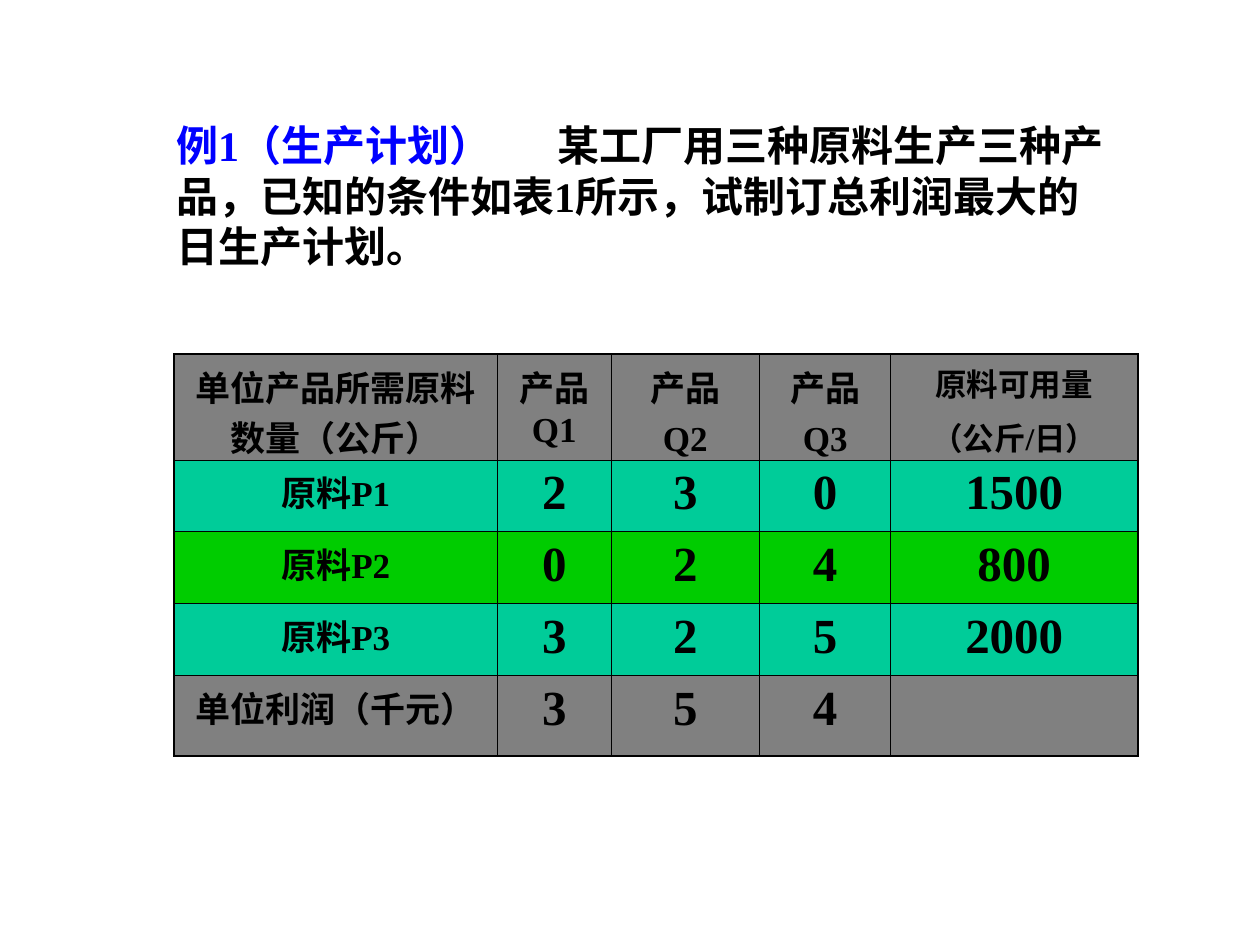
import pptx
import pptx.util
import pptx.dml.color
import pptx.enum.text
import pptx.oxml.ns
import lxml.etree

Inches, Pt = pptx.util.Inches, pptx.util.Pt
FONT = "Times New Roman"
COLORS = {"black": "000000", "blue": "0000FF", "white": "FFFFFF",
          "gray": "808080", "teal": "00CC99", "green": "00CC00"}

TITLE = [
    ("例1（生产计划）", "blue"),
    ("\t某工厂用三种原料生产三种产品，已知的条件如表1所示，试制订总利润最大的日生产计划。", "black"),
]
TITLE_TAB = 3.03
ROWS = [
    ["单位产品所需原料数量（公斤）", "产品Q1", "产品\nQ2", "产品\nQ3", "原料可用量\n（公斤/日）"],
    ["原料P1", "2", "3", "0", "1500"],
    ["原料P2", "0", "2", "4", "800"],
    ["原料P3", "3", "2", "5", "2000"],
    ["单位利润（千元）", "3", "5", "4", ""],
]
ROW_FILLS = ["gray", "teal", "green", "teal", "gray"]
COL_WIDTHS = [2.57, 0.9, 1.18, 1.04, 1.96]
ROW_HEIGHTS = [0.84, 0.57, 0.57, 0.57, 0.64]
THIN, THICK = 0.45, 1.08


def rgb(name):
    return pptx.dml.color.RGBColor.from_string(COLORS[name])


def child(parent, tag, **attrs):
    return lxml.etree.SubElement(parent, pptx.oxml.ns.qn(tag), **attrs)


def style_run(r, size, color="black"):
    r.font.name = FONT
    r.font.size = Pt(size)
    r.font.bold = True
    r.font.color.rgb = rgb(color)


def set_borders(cell, widths):
    tcPr = cell._tc.get_or_add_tcPr()
    for i, (side, width) in enumerate(widths.items()):
        ln = lxml.etree.Element(pptx.oxml.ns.qn("a:ln" + side), w=str(Pt(width)))
        child(child(ln, "a:solidFill"), "a:srgbClr", val=COLORS["black"])
        tcPr.insert(i, ln)


def text_size(row, col):
    if row == 0:
        return (18, 4.5) if col == len(COL_WIDTHS) - 1 else (20, 5)
    return (20, 5) if col == 0 else (28, 7)


def add_title(s):
    sp = s.shapes.add_textbox(Inches(1.3), Inches(0.84), Inches(7.58), Inches(1.42))
    sp.fill.solid()
    sp.fill.fore_color.rgb = rgb("white")
    sp.line.color.rgb = rgb("white")
    sp.line.width = Pt(0.75)
    tf = sp.text_frame
    tf.word_wrap = True
    tf.vertical_anchor = pptx.enum.text.MSO_ANCHOR.MIDDLE
    p = tf.paragraphs[0]
    tabs = child(p._p.get_or_add_pPr(), "a:tabLst")
    child(tabs, "a:tab", pos=str(Inches(TITLE_TAB)), algn="l")
    for text, color in TITLE:
        r = p.add_run()
        r.text = text
        style_run(r, 24, color)


def add_plan_table(s):
    n_rows, n_cols = len(ROWS), len(COL_WIDTHS)
    frame = s.shapes.add_table(n_rows, n_cols, Inches(1.38), Inches(2.81),
                               Inches(sum(COL_WIDTHS)), Inches(sum(ROW_HEIGHTS)))
    table = frame.table
    table.first_row = table.horz_banding = False
    for column, width in zip(table.columns, COL_WIDTHS):
        column.width = Inches(width)
    for row, height in zip(table.rows, ROW_HEIGHTS):
        row.height = Inches(height)
    for i, values in enumerate(ROWS):
        for j, text in enumerate(values):
            cell = table.cell(i, j)
            cell.fill.solid()
            cell.fill.fore_color.rgb = rgb(ROW_FILLS[i])
            set_borders(cell, {"L": THICK if j == 0 else THIN,
                               "R": THICK if j == n_cols - 1 else THIN,
                               "T": THICK if i == 0 else THIN,
                               "B": THICK if i == n_rows - 1 else THIN})
            cell.text_frame.text = text
            size, before = text_size(i, j)
            for p in cell.text_frame.paragraphs:
                p.alignment = pptx.enum.text.PP_ALIGN.CENTER
                p.space_before = Pt(before)
                for r in p.runs:
                    style_run(r, size)


def main():
    prs = pptx.Presentation()
    prs.slide_width, prs.slide_height = Inches(10), Inches(7.5)
    s = prs.slides.add_slide(prs.slide_layouts[6])
    add_title(s)
    add_plan_table(s)
    prs.save("out.pptx")


if __name__ == "__main__":
    main()
